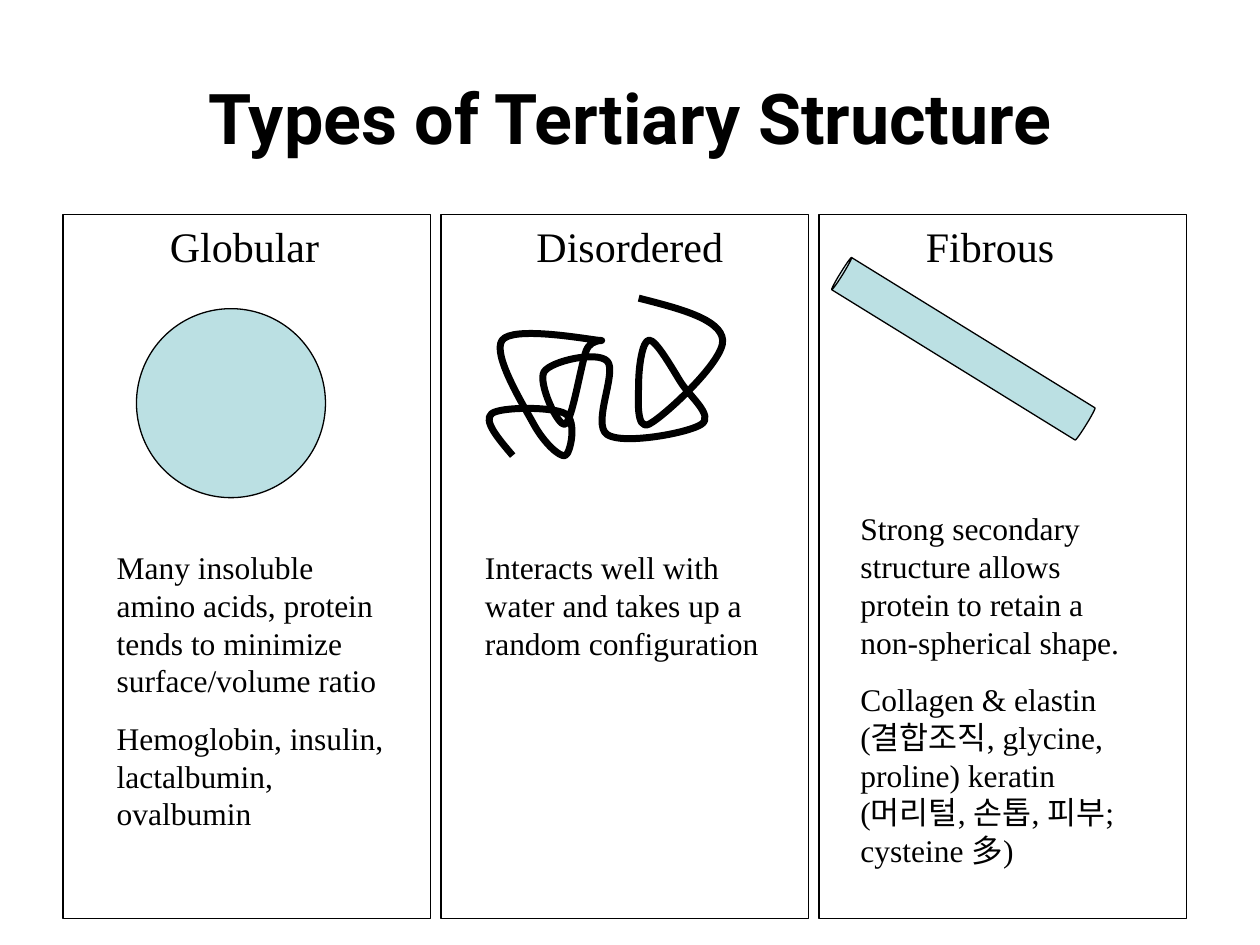
from dataclasses import dataclass

from lxml import etree
from pptx import Presentation
from pptx.dml.color import RGBColor
from pptx.enum import shapes, text
from pptx.oxml.ns import qn
from pptx.util import Pt


@dataclass(frozen=True)
class Theme:
    ink: RGBColor = RGBColor(0, 0, 0)
    accent: RGBColor = RGBColor(0xBB, 0xE0, 0xE3)
    title_font: str = "Roboto"
    body_font: str = "Times New Roman"
    title_size: float = 40
    heading_size: float = 24
    body_size: float = 18
    outline: float = 0.75
    strand: float = 4


THEME = Theme()

# Points the strand passes through, from the panel's top left corner
STRAND = [(41, 138), (29, 114), (71, 114), (71, 138), (53, 120), (35, 72),
          (89, 72), (83, 78), (71, 120), (59, 90), (95, 84), (95, 126),
          (149, 120), (137, 96), (119, 72), (113, 96), (119, 120),
          (161, 72), (113, 48)]


def style_shape(sp, fill=None, weight=THEME.outline):
    sp.shadow.inherit = False
    if fill is None:
        sp.fill.background()
    else:
        sp.fill.solid()
        sp.fill.fore_color.rgb = fill
    sp.line.color.rgb = THEME.ink
    sp.line.width = Pt(weight)


def add_preset(s, kind, x, y, w, h, fill=None):
    sp = s.shapes.add_shape(kind, Pt(x), Pt(y), Pt(w), Pt(h))
    style_shape(sp, fill)
    return sp


def style_font(font, name, size, bold=False):
    font.name, font.size, font.bold = name, Pt(size), bold
    font.color.rgb = THEME.ink


def add_text(s, x, y, w, h, paragraphs, size, wrap=True, before=0):
    tf = s.shapes.add_textbox(Pt(x), Pt(y), Pt(w), Pt(h)).text_frame
    tf.word_wrap = wrap
    tf.auto_size = text.MSO_AUTO_SIZE.SHAPE_TO_FIT_TEXT
    for i, words in enumerate(paragraphs):
        p = tf.add_paragraph() if i else tf.paragraphs[0]
        p.text = words
        p.space_before = Pt(before)
        style_font(p.font, THEME.body_font, size)


def curve_points(knots):
    """Bezier points of a Catmull-Rom curve, three for each segment."""
    last = len(knots) - 1

    def handle(i, sign):
        (x0, y0), (x, y), (x1, y1) = knots[i - 1:i + 2]
        return x + sign * (x1 - x0) / 6, y + sign * (y1 - y0) / 6

    def middle(a, b):
        return (a[0] + b[0]) / 2, (a[1] + b[1]) / 2

    points = []
    for i in range(last):
        start = handle(i, 1) if i else None
        end = handle(i + 1, -1) if i + 1 < last else None
        points += [start or middle(knots[i], end),
                   end or middle(start, knots[last]), knots[i + 1]]
    return points


def draw_globule(s, x, y):
    add_preset(s, shapes.MSO_SHAPE.OVAL, x + 42, y + 54, 108, 108, THEME.accent)


def draw_strand(s, x, y):
    def place(point):
        return Pt(x + point[0]), Pt(y + point[1])

    builder = s.shapes.build_freeform(*place(STRAND[0]))
    builder.add_line_segments([place(pt) for pt in curve_points(STRAND)], close=False)
    sp = builder.convert_to_shape()
    style_shape(sp, weight=THEME.strand)
    path = next(sp._element.iter(qn("a:path")))
    steps = path.findall(qn("a:lnTo"))
    for i in range(0, len(steps), 3):
        curve = etree.SubElement(path, qn("a:cubicBezTo"))
        for step in steps[i:i + 3]:
            curve.append(step[0])
            path.remove(step)


def draw_fibre(s, x, y):
    sp = add_preset(s, shapes.MSO_SHAPE.CAN, x + 71.7, y - 5.6, 21.6, 165, THEME.accent)
    sp.adjustments[0] = 0.07
    sp.rotation = 301.7


def add_title(s, words, x, y, w, h):
    title = s.shapes.title
    title.left, title.top, title.width, title.height = Pt(x), Pt(y), Pt(w), Pt(h)
    tf = title.text_frame
    tf.text = words
    tf.vertical_anchor = text.MSO_ANCHOR.MIDDLE
    p = tf.paragraphs[0]
    p.alignment = text.PP_ALIGN.CENTER
    style_font(p.font, THEME.title_font, THEME.title_size, bold=True)


def add_panel(s, x, y, w, h, heading, heading_box, draw, body, body_box):
    """heading_box is (left, width); body_box is (left, top, width, height)."""
    add_preset(s, shapes.MSO_SHAPE.RECTANGLE, x, y, w, h)
    dx, width = heading_box
    add_text(s, x + dx, y, width, 36, [heading], THEME.heading_size, wrap=False)
    draw(s, x, y)
    dx, dy, width, height = body_box
    add_text(s, x + dx, y + dy, width, height, body, THEME.body_size, before=11.2)


PANELS = [
    ("Globular", (54, 102), draw_globule,
     ["Many insoluble amino acids, protein tends to minimize surface/volume ratio",
      "Hemoglobin, insulin, lactalbumin, ovalbumin"],
     (23.6, 187.2, 168, 170)),
    ("Disordered", (47.5, 122), draw_strand,
     ["Interacts well with water and takes up a random configuration"],
     (18, 187.2, 180, 72)),
    ("Fibrous", (54, 89), draw_fibre,
     ["Strong secondary structure allows protein to retain a non-spherical shape.",
      "Collagen & elastin (결합조직, glycine, proline) keratin "
      "(머리털, 손톱, 피부; cysteine 多)"],
     (16.6, 165, 168, 213)),
]


def main():
    prs = Presentation()
    prs.slide_width, prs.slide_height = Pt(720), Pt(540)
    s = prs.slides.add_slide(prs.slide_layouts[5])
    add_title(s, "Types of Tertiary Structure", 36, 21.6, 648, 90)
    for i, panel in enumerate(PANELS):
        add_panel(s, 36 + 216 * i, 122.4, 210, 402.5, *panel)
    prs.save("out.pptx")


if __name__ == "__main__":
    main()
